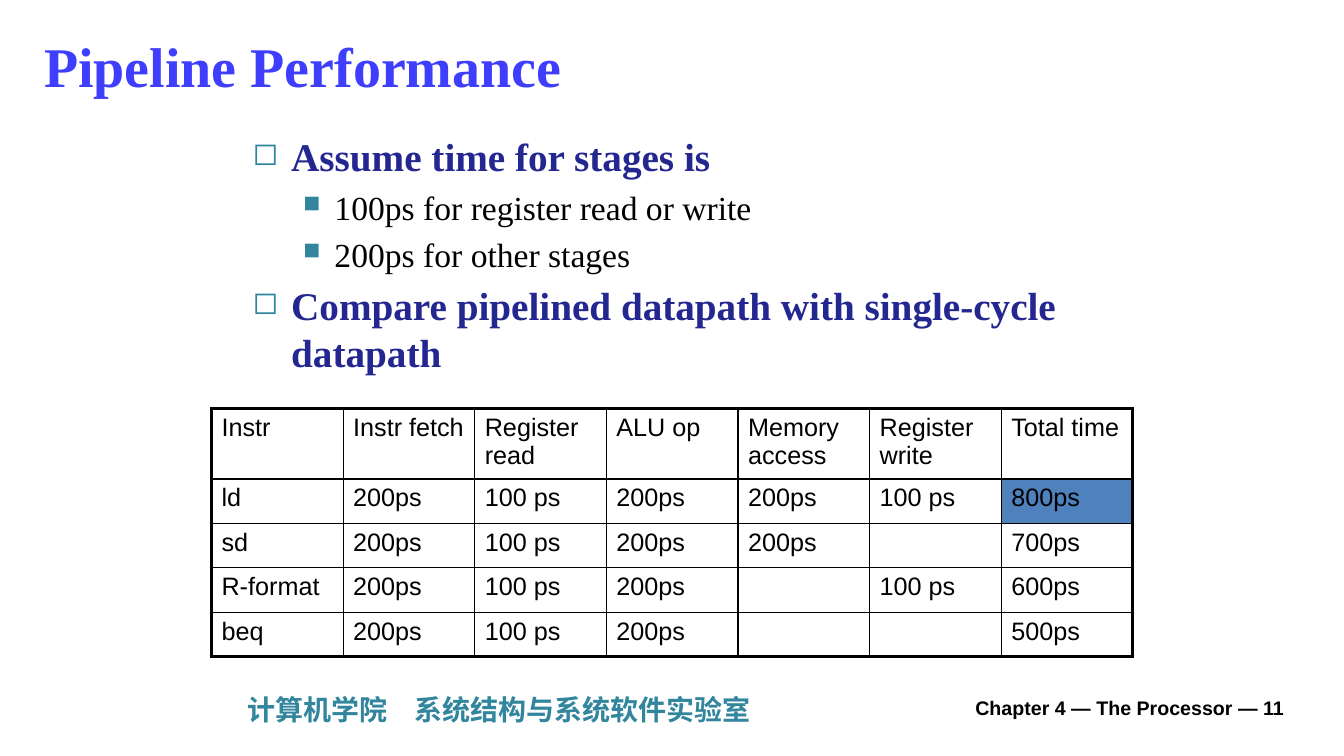
from pptx import Presentation
from pptx.dml.color import RGBColor
from pptx.enum.text import MSO_ANCHOR as Anchor, PP_ALIGN as Align
from pptx.oxml.ns import qn
from pptx.util import Cm, Pt
from lxml.etree import SubElement as Sub

BLACK = RGBColor(0, 0, 0)
VIOLET = RGBColor(0x3E, 0x3E, 0xFC)
NAVY = RGBColor(0x24, 0x27, 0x90)
TEAL = RGBColor(0x31, 0x85, 0x9C)
BLUE = RGBColor(0x4F, 0x81, 0xBD)
SERIF, SANS, HAN = "Times New Roman", "Arial", "Noto Sans CJK SC"


def style(font, name, size, color, bold=False):
    font.name, font.size, font.bold = name, Pt(size), bold
    font.color.rgb = color


def add_text(left, top, width, height):
    frame = slide.shapes.add_textbox(Cm(left), Cm(top), Cm(width), Cm(height)).text_frame
    frame.word_wrap = True
    return frame


deck = Presentation()
deck.slide_width, deck.slide_height = Cm(33.87), Cm(19.05)
slide = deck.slides.add_slide(deck.slide_layouts[5])

title = slide.shapes.title
title.left, title.top, title.width, title.height = Cm(0.86), Cm(0.33), Cm(29.16), Cm(2.64)
title.text_frame.text = "Pipeline Performance"
title.text_frame.vertical_anchor = Anchor.MIDDLE
head = title.text_frame.paragraphs[0]
head.alignment = Align.LEFT
style(head.runs[0].font, SERIF, 40, VIOLET, True)

points = [
    (0, "Assume time for stages is"),
    (1, "100ps for register read or write"),
    (1, "200ps for other stages"),
    (0, "Compare pipelined datapath with single-cycle datapath"),
]
looks = [
    (0.97, 0.97, "◻", 80, 28, NAVY, True),
    (2.06, 0.79, "■", 70, 24, BLACK, False),
]
body = add_text(6.12, 3.22, 22.99, 7.04)
for i, (level, text) in enumerate(points):
    margin, hang, mark, scale, size, color, bold = looks[level]
    para = body.add_paragraph() if i else body.paragraphs[0]
    para.text = text
    para.level = level
    if i:
        para.space_before = Pt(size * 0.2)
    props = para._p.get_or_add_pPr()
    props.set("marL", str(Cm(margin)))
    props.set("indent", str(-Cm(hang)))
    Sub(Sub(props, qn("a:buClr")), qn("a:srgbClr"), val=str(TEAL))
    Sub(props, qn("a:buSzPct"), val=str(scale * 1000))
    Sub(props, qn("a:buChar"), char=mark)
    style(para.runs[0].font, SERIF, size, color, bold)

rows = [
    ["Instr", "Instr fetch", "Register read", "ALU op",
     "Memory access", "Register write", "Total time"],
    ["ld", "200ps", "100 ps", "200ps", "200ps", "100 ps", "800ps"],
    ["sd", "200ps", "100 ps", "200ps", "200ps", "", "700ps"],
    ["R-format", "200ps", "100 ps", "200ps", "", "100 ps", "600ps"],
    ["beq", "200ps", "100 ps", "200ps", "", "", "500ps"],
]
last, end = len(rows) - 1, len(rows[0]) - 1
table = slide.shapes.add_table(last + 1, end + 1, Cm(5.33), Cm(10.29),
                               Cm(23.22), Cm(6.26)).table
table.first_row = table.horz_banding = False
for col in table.columns:
    col.width = Cm(23.22 / (end + 1))
for r, row in enumerate(rows):
    table.rows[r].height = Cm(1.12 if r else 1.78)
    for c, text in enumerate(row):
        cell = table.cell(r, c)
        cell.text = text
        style(cell.text_frame.paragraphs[0].font, SANS, 18, BLACK)
        for run in cell.text_frame.paragraphs[0].runs:
            style(run.font, SANS, 18, BLACK)
        edges = {
            "L": 1 if c else 2.25,
            "R": 2.25 if c == end else 1,
            "T": {0: 2.25, 1: 1.5}.get(r, 1),
            "B": {0: 1.5, last: 2.25}.get(r, 1),
        }
        for side, width in edges.items():
            line = Sub(cell._tc.get_or_add_tcPr(), qn("a:ln" + side), w=str(Pt(width)))
            Sub(Sub(line, qn("a:solidFill")), qn("a:srgbClr"), val=str(BLACK))
        if text == "800ps":
            cell.fill.solid()
            cell.fill.fore_color.rgb = BLUE
        else:
            cell.fill.background()

lab = add_text(5.99, 17.32, 24.54, 1.12)
lab.text = "计算机学院\t系统结构与系统软件实验室"
name = lab.paragraphs[0]
tabs = Sub(name._p.get_or_add_pPr(), qn("a:tabLst"))
Sub(tabs, qn("a:tab"), pos=str(Cm(4.2)), algn="l")
for run in name.runs:
    style(run.font, HAN, 20, TEAL, True)
    Sub(run.font._element, qn("a:ea"), typeface=HAN)

page = add_text(24.33, 17.32, 8.79, 1.02)
page.text = "Chapter 4 — The Processor — 11"
page.vertical_anchor = Anchor.MIDDLE
style(page.paragraphs[0].runs[0].font, SANS, 14, BLACK, True)

deck.save("out.pptx")
